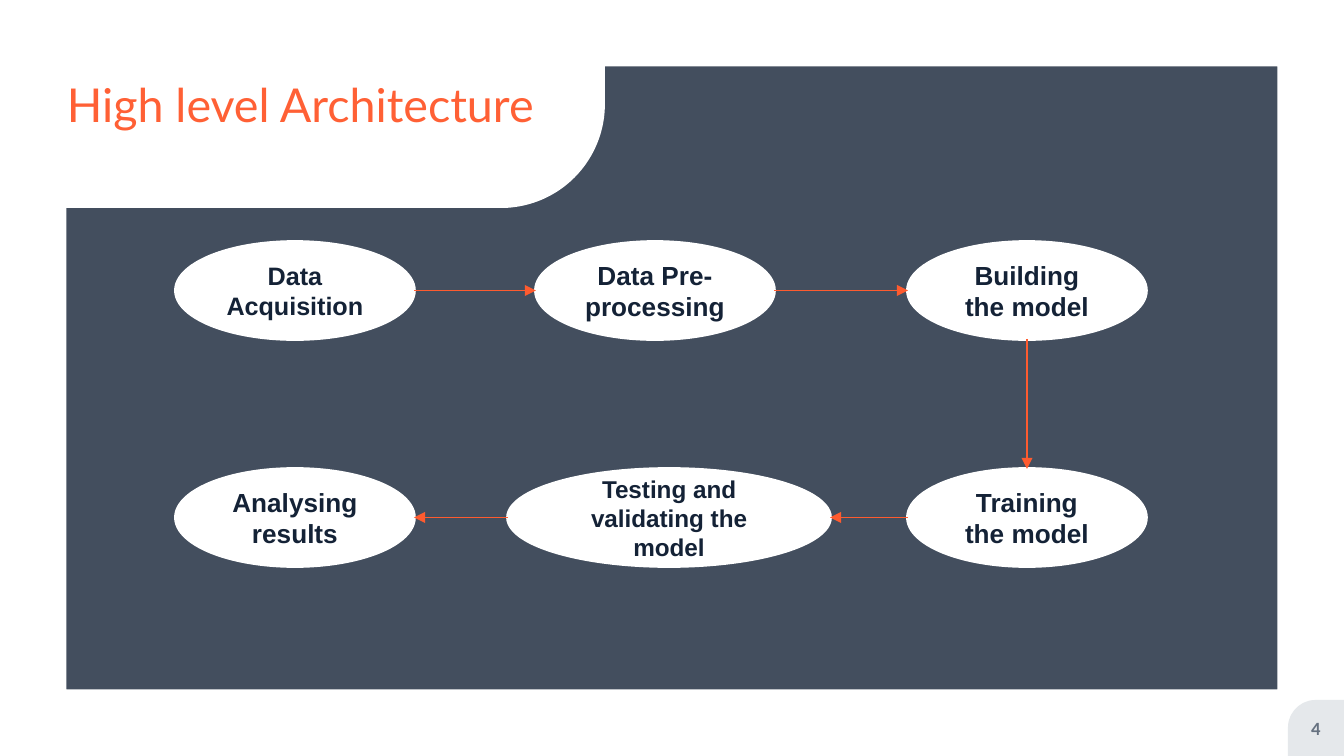
from lxml import etree
from pptx import Presentation
from pptx.dml.color import RGBColor
from pptx.enum.shapes import MSO_CONNECTOR, MSO_SHAPE
from pptx.enum.text import MSO_ANCHOR, PP_ALIGN
from pptx.oxml.ns import qn
from pptx.util import Pt

RECT, FRAME = MSO_SHAPE.RECTANGLE, MSO_SHAPE.FRAME
TAB, ELLIPSE = MSO_SHAPE.ROUND_1_RECTANGLE, MSO_SHAPE.OVAL
STRAIGHT = MSO_CONNECTOR.STRAIGHT
MIDDLE = MSO_ANCHOR.MIDDLE
LEFT, CENTER = PP_ALIGN.LEFT, PP_ALIGN.CENTER

WIDTH, HEIGHT = 1344, 756
SCALE = 9144000 / WIDTH
NAVY, WHITE, PALE, GREY = "142236", "FFFFFF", "E5E8EB", "667180"
TITLE_ORANGE, ARROW_ORANGE = "FF6035", "FE5B2F"
TOP_SIDE, LEFT_SIDE, BOTTOM_SIDE, RIGHT_SIDE = (1, 0), (0, 1), (1, 2), (2, 1)


def px(n):
    return round(n * SCALE)


def rgb(color):
    return RGBColor.from_string(color)


class Deck:
    """Style and current slide of the architecture deck."""

    def __init__(self):
        self.prs = Presentation()
        self.prs.slide_width, self.prs.slide_height = px(WIDTH), px(HEIGHT)
        self.s = self.prs.slides.add_slide(self.prs.slide_layouts[6])

    def shape(self, kind, box, fill, adj=None, alpha=None, flip=False, turn=0):
        sp = self.s.shapes.add_shape(kind, *map(px, box))
        sp.shadow.inherit = False
        sp.fill.solid()
        sp.fill.fore_color.rgb = rgb(fill)
        sp.line.fill.background()
        sp.rotation = turn
        if adj is not None:
            sp.adjustments[0] = adj
        if alpha is not None:
            color = sp.element.spPr.find(".//" + qn("a:srgbClr"))
            etree.SubElement(color, qn("a:alpha")).set("val", str(alpha * 1000))
        if flip:
            sp.element.spPr.find(qn("a:xfrm")).set("flipH", "1")
        return sp

    def run(self, tf, text, size, font, color, bold=False, align=CENTER):
        tf.word_wrap = True
        tf.vertical_anchor = MIDDLE
        p = tf.paragraphs[0]
        p.alignment = align
        r = p.add_run()
        r.text = text
        r.font.size, r.font.name, r.font.bold = Pt(size), font, bold
        r.font.color.rgb = rgb(color)
        return p

    def text(self, box, *args, **style):
        tf = self.s.shapes.add_textbox(*map(px, box)).text_frame
        tf.margin_left = tf.margin_right = tf.margin_top = tf.margin_bottom = 0
        return self.run(tf, *args, **style)

    def step(self, box, label, size):
        sp = self.shape(ELLIPSE, box, WHITE)
        sp.line.color.rgb = rgb(WHITE)
        sp.line.width = Pt(2)
        self.run(sp.text_frame, label, size, "Arial", NAVY, bold=True)
        return sp

    def arrow(self, start, leave, end, enter):
        ends = []
        for sp, (fx, fy) in ((start, leave), (end, enter)):
            ends += [sp.left + sp.width * fx // 2, sp.top + sp.height * fy // 2]
        c = self.s.shapes.add_connector(STRAIGHT, *ends)
        c.line.color.rgb = rgb(ARROW_ORANGE)
        c.line.width = Pt(0.75)
        ln = c.element.spPr.find(qn("a:ln"))
        etree.SubElement(ln, qn("a:tailEnd")).set("type", "triangle")
        etree.SubElement(c.element.spPr, qn("a:effectLst"))


def main():
    deck = Deck()
    page = (0, 0, WIDTH, HEIGHT)
    number_tab = (1288, 700, 56, 56)
    deck.shape(RECT, page, NAVY, alpha=80)
    deck.shape(FRAME, page, WHITE, adj=0.088)
    deck.shape(TAB, (0, 0, 605, 208), WHITE, adj=0.5, flip=True, turn=180)
    deck.shape(TAB, number_tab, PALE, adj=0.5, flip=True)
    title = deck.text((67, 3, 573, 208), "High level Architecture", 25, "Lato",
                      TITLE_ORANGE, align=LEFT)
    title.line_spacing = 0.9
    deck.text(number_tab, "4", 10, "Calibri", GREY, bold=True)

    upper, lower, w, h = 242, 469, 238, 97
    steps = [deck.step(box, label, size) for box, label, size in (
        ((176, upper, w, h), "Data Acquisition", 13.5),
        ((536, upper, w, h), "Data Pre-processing", 14),
        ((908, upper, w, h), "Building the model", 14),
        ((908, lower, w, h), "Training the model", 14),
        ((508, lower, 322, h), "Testing and validating the model", 13),
        ((176, lower, w, h), "Analysing results", 14),
    )]
    rightward, leftward = (RIGHT_SIDE, LEFT_SIDE), (LEFT_SIDE, RIGHT_SIDE)
    downward = (BOTTOM_SIDE, TOP_SIDE)
    routes = (rightward, rightward, downward, leftward, leftward)
    for start, end, (leave, enter) in zip(steps, steps[1:], routes):
        deck.arrow(start, leave, end, enter)
    deck.prs.save("out.pptx")


if __name__ == "__main__":
    main()
